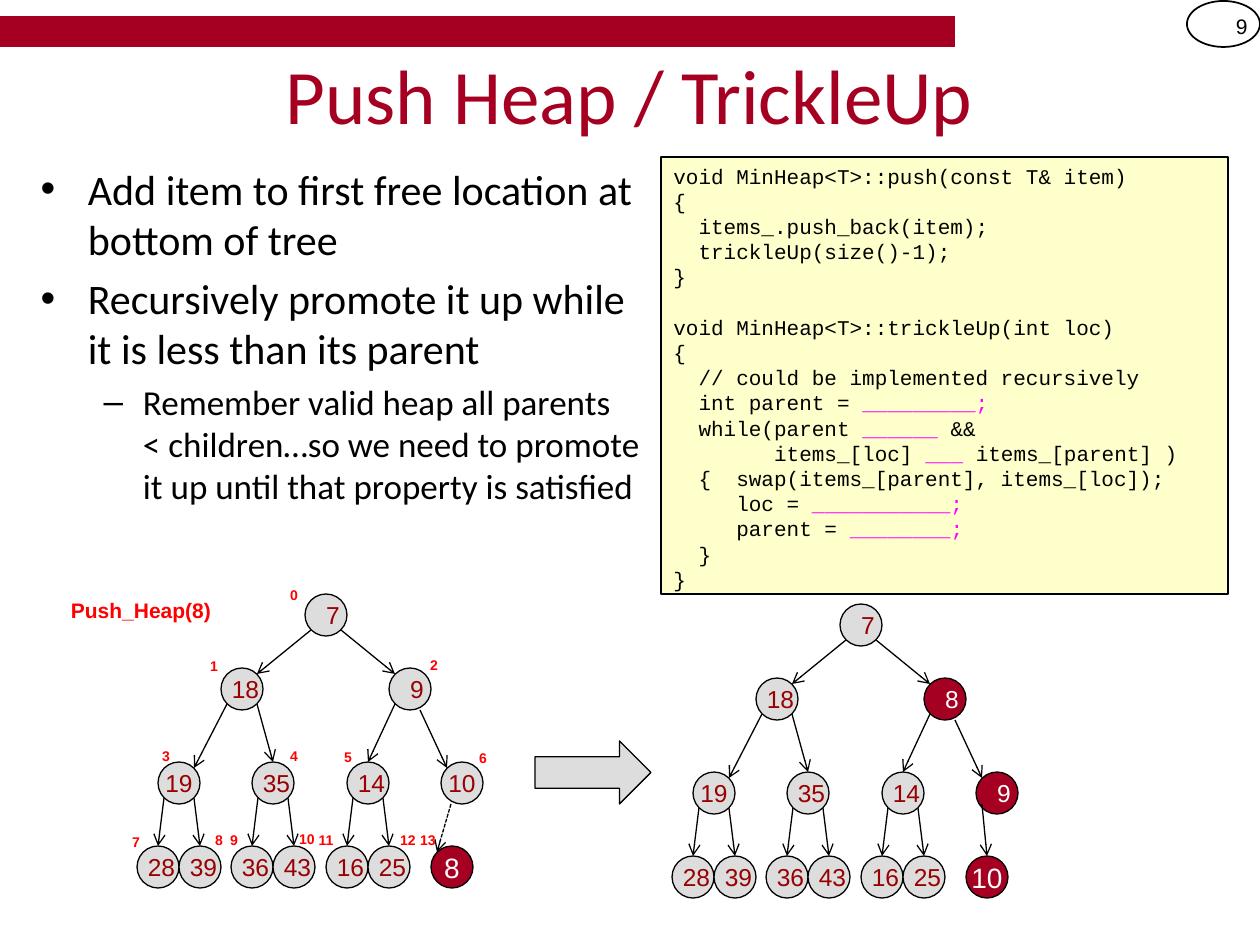
from lxml.etree import SubElement
from pptx import Presentation
from pptx.dml.color import RGBColor
from pptx.enum.dml import MSO_LINE
from pptx.enum.shapes import MSO_CONNECTOR, MSO_SHAPE
from pptx.enum.text import MSO_ANCHOR, MSO_AUTO_SIZE, PP_ALIGN
from pptx.oxml.ns import qn
from pptx.util import Emu, Pt

COLORS = {"brand": "A50021", "black": "000000", "white": "FFFFFF", "grey": "DDDDDD",
          "number": "990000", "label": "FF0000", "code": "FFFFCC", "blank": "FF00FF"}

TITLE = "Push Heap / TrickleUp"
# level, size, text
BULLETS = [
    (0, 24, "Add item to first free location at bottom of tree"),
    (0, 24, "Recursively promote it up while it is less than its parent"),
    (1, 20, "Remember valid heap all parents\v< children…so we need to promote "
            "it up until that property is satisfied"),
]
# Parts between bars are the blanks to fill in
CODE = """void MinHeap<T>::push(const T& item)
{
  items_.push_back(item);
  trickleUp(size()-1);
}

void MinHeap<T>::trickleUp(int loc)
{
  // could be implemented recursively
  int parent = |_________;|
  while(parent |______| &&
        items_[loc] |___| items_[parent] )
  {  swap(items_[parent], items_[loc]);
     loc = |___________;|
     parent = |________;|
  }
}"""

# Heap values in index order
BEFORE = [7, 18, 9, 19, 35, 14, 10, 28, 39, 36, 43, 16, 25, 8]
AFTER = [7, 18, 8, 19, 35, 14, 9, 28, 39, 36, 43, 16, 25, 10]
# Node offsets from the left edge of the tree and from its top, per level
LEVELS = [(0, [168]), (74, [84, 252]), (168, [21, 115, 210, 304]),
          (252, [0, 42, 94, 136, 189, 231, 294])]
SLOTS = [(x, y) for y, xs in LEVELS for x in xs]
NODE = 42
SPACE = 7  # numbers sit slightly right of the node centre
CENTRED = {19, 10}

# Points on a node where edges start and end
LEFT, RIGHT, UNDER = (6, 36), (36, 36), (31, 42)
TOP, TOP_LEFT, TOP_RIGHT = (21, 0), (6, 6), (36, 6)
EDGES = {1: (LEFT, TOP_RIGHT), 2: (RIGHT, TOP_LEFT), 3: (LEFT, TOP_RIGHT),
         6: (UNDER, TOP_LEFT)}

# Centres of the index labels, in index order
INDEX_CENTRES = [(294, 595), (214, 666), (434, 665), (166, 756), (294, 756),
                 (348, 757), (483, 758), (136, 842), (219, 840), (234, 840),
                 (307, 839), (326, 840), (408, 840), (428, 840)]


def px(n):
    return Emu(round(n * 914400 / 126))


def rgb(name):
    return RGBColor.from_string(COLORS[name])


def set_font(font, size, color, name="Arial", bold=False):
    font.size, font.name, font.bold = Pt(size), name, bold
    font.color.rgb = rgb(color)


def place(sp, x, y, w, h):
    sp.left, sp.top, sp.width, sp.height = px(x), px(y), px(w), px(h)


def add_shape(kind, x, y, w, h, fill=None, line=0.75):
    sp = s.shapes.add_shape(kind, px(x), px(y), px(w), px(h))
    sp.shadow.inherit = False
    if fill:
        sp.fill.solid()
        sp.fill.fore_color.rgb = rgb(fill)
    else:
        sp.fill.background()
    if line:
        sp.line.color.rgb = rgb("black")
        sp.line.width = Pt(line)
    else:
        sp.line.fill.background()
    return sp


def add_label(text, x, y, w, h, size, color, align=PP_ALIGN.CENTER, bold=False):
    tf = s.shapes.add_textbox(px(x), px(y), px(w), px(h)).text_frame
    tf.word_wrap = True
    tf.vertical_anchor = MSO_ANCHOR.MIDDLE
    p = tf.paragraphs[0]
    p.text, p.alignment = text, align
    set_font(p.font, size, color, bold=bold)


def add_arrow(x1, y1, x2, y2, dashed=False):
    c = s.shapes.add_connector(MSO_CONNECTOR.STRAIGHT, px(x1), px(y1), px(x2), px(y2))
    c.line.color.rgb = rgb("black")
    c.line.width = Pt(0.75)
    if dashed:
        c.line.dash_style = MSO_LINE.SQUARE_DOT
    SubElement(c.line._get_or_add_ln(), qn("a:tailEnd"), type="arrow")
    SubElement(c._element.spPr, qn("a:effectLst"))


def add_node(value, x, y, marked, last):
    sp = add_shape(MSO_SHAPE.OVAL, x, y, NODE, NODE, "brand" if marked else "grey")
    tf = sp.text_frame
    tf.word_wrap = False
    tf.vertical_anchor = MSO_ANCHOR.MIDDLE
    tf.margin_left = tf.margin_right = tf.margin_top = tf.margin_bottom = 0
    if not last and value not in CENTRED:
        tf.margin_left = px(SPACE * (3 - len(str(value))))
    p = tf.paragraphs[0]
    p.text, p.alignment = str(value), PP_ALIGN.CENTER
    set_font(p.font, 16 if last else 14, "white" if marked else "number")


def add_heap(values, left, top, marked, last_edge, dashed):
    """Draw a heap; marked holds the indices in the accent colour."""
    spots = [(left + x, top + y) for x, y in SLOTS]
    last = len(values) - 1
    for i, (value, (x, y)) in enumerate(zip(values, spots)):
        add_node(value, x, y, i in marked, i == last)
    for i in range(1, len(values)):
        start, end = EDGES.get(i, (LEFT if i % 2 else RIGHT, TOP))
        if i == last:
            start, end = last_edge
        (x1, y1), (x2, y2) = spots[(i - 1) // 2], spots[i]
        add_arrow(x1 + start[0], y1 + start[1], x2 + end[0], y2 + end[1],
                  dashed and i == last)


prs = Presentation()
prs.slide_width, prs.slide_height = px(1260), px(945)
s = prs.slides.add_slide(prs.slide_layouts[1])

# Header bar and page number
add_shape(MSO_SHAPE.RECTANGLE, 0, 16, 955, 31, "brand", line=0)
add_shape(MSO_SHAPE.OVAL, 1187, 1, 73, 46, line=1)
add_label("9", 1187, 1, 73, 50, 12, "black", PP_ALIGN.RIGHT)

title, body = s.placeholders
place(title, 136, 31, 987, 126)
p = title.text_frame.paragraphs[0]
p.text, p.alignment = TITLE, PP_ALIGN.CENTER
set_font(p.font, 44, "brand", "Calibri")

place(body, 28, 157, 625, 252)
tf = body.text_frame
tf.auto_size = MSO_AUTO_SIZE.NONE
for i, (level, size, text) in enumerate(BULLETS):
    p = tf.add_paragraph() if i else tf.paragraphs[0]
    p.text, p.level = text, level
    p.space_before = Pt(size * 0.2 if i else 0)
    set_font(p.font, size, "black", "Calibri")

# The two heaps
add_heap(BEFORE, 137, 594, {13}, ((10, 42), TOP_LEFT), True)
add_heap(AFTER, 672, 604, {2, 6, 13}, ((6, 32), TOP), False)
add_shape(MSO_SHAPE.RIGHT_ARROW, 535, 741, 116, 63, "grey")
add_label("Push_Heap(8)", 36, 591, 210, 38, 12, "label", bold=True)
for i, (x, y) in enumerate(INDEX_CENTRES):
    add_label(str(i), x - 23, y - 15, 46, 30, 8, "label", bold=True)

# Code panel
tf = add_shape(MSO_SHAPE.RECTANGLE, 661, 157, 567, 437, "code").text_frame
tf.word_wrap = True
tf.vertical_anchor = MSO_ANCHOR.TOP
for i, line in enumerate(CODE.split("\n")):
    p = tf.add_paragraph() if i else tf.paragraphs[0]
    p.alignment = PP_ALIGN.LEFT
    set_font(p.font, 12, "black", "Courier New")
    for j, part in enumerate(line.split("|")):
        if part:
            r = p.add_run()
            r.text = part
            set_font(r.font, 12, "blank" if j % 2 else "black", "Courier New")

prs.save("out.pptx")
